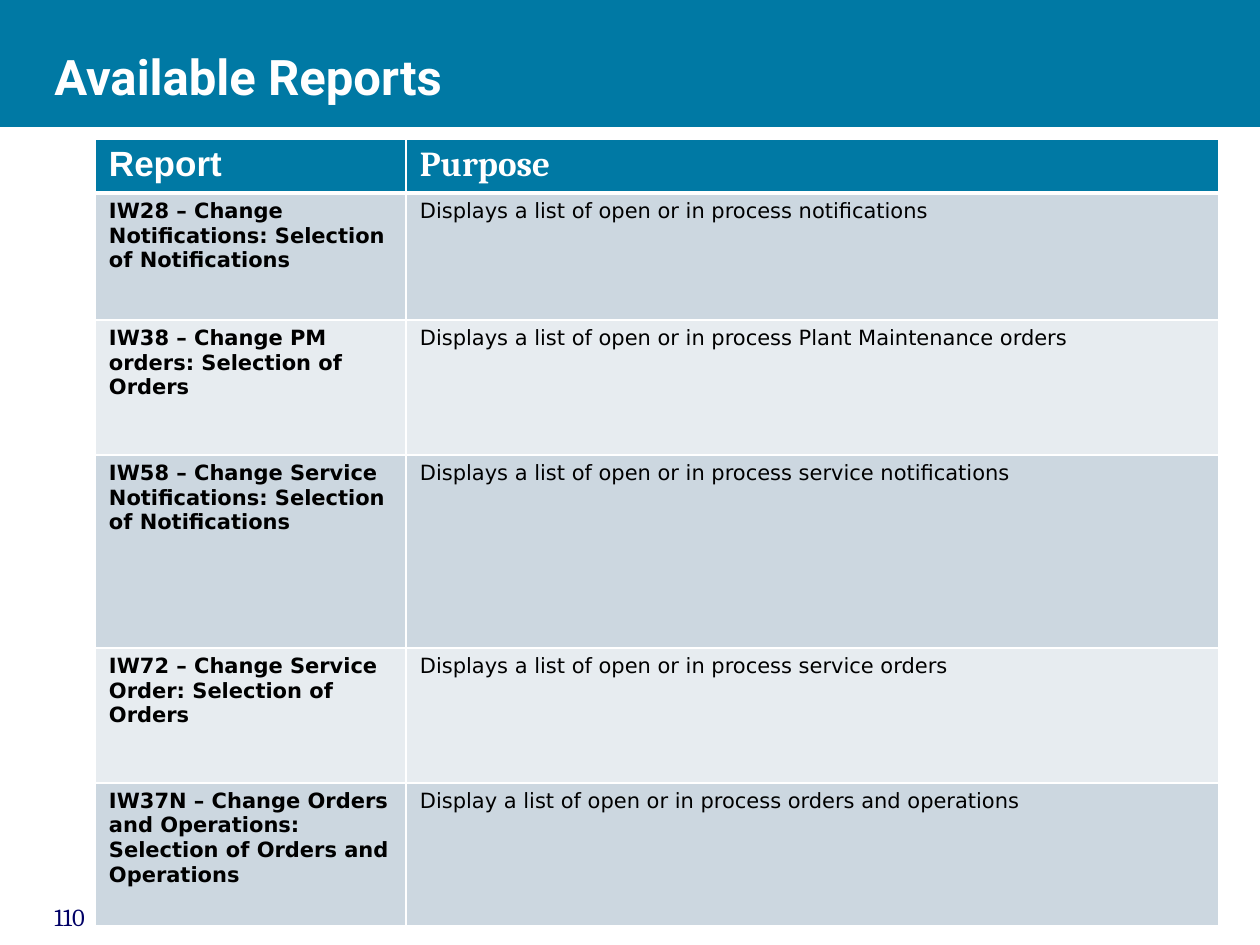
from dataclasses import dataclass

from lxml import etree
from pptx import Presentation
from pptx.dml.color import RGBColor
from pptx.enum.shapes import MSO_SHAPE
from pptx.enum.text import MSO_ANCHOR
from pptx.oxml.ns import qn
from pptx.util import Emu, Pt

RECTANGLE = MSO_SHAPE.RECTANGLE
TOP = MSO_ANCHOR.TOP
MIDDLE = MSO_ANCHOR.MIDDLE

PIXELS_PER_INCH = 126
EMU_PER_INCH = 914400


@dataclass(frozen=True)
class Theme:
    white: str = "FFFFFF"
    black: str = "000000"
    blue: str = "0079A4"
    navy: str = "000066"
    bands: tuple = ("CCD7E0", "E7ECF0")
    title_font: str = "Roboto"
    report_font: str = "Arial"
    serif_font: str = "Cambria"
    body_font: str = "DejaVu Sans"
    title_size: int = 28
    header_size: int = 20
    body_size: int = 12
    number_size: int = 14
    border: int = 1
    header_border: int = 3


THEME = Theme()

HEADERS = [("Report", THEME.report_font), ("Purpose", THEME.serif_font)]
REPORTS = [
    ("IW28 – Change Notifications: Selection of Notifications",
     "Displays a list of open or in process notifications"),
    ("IW38 – Change PM orders: Selection of Orders",
     "Displays a list of open or in process Plant Maintenance orders"),
    ("IW58 – Change Service Notifications: Selection of Notifications",
     "Displays a list of open or in process service notifications"),
    ("IW72 – Change Service Order: Selection of Orders",
     "Displays a list of open or in process service orders"),
    ("IW37N – Change Orders and Operations: Selection of Orders and Operations",
     "Display a list of open or in process orders and operations"),
]
COLUMN_WIDTHS = [311, 813]
ROW_HEIGHTS = [53, 127, 135, 193, 135, 143]


def px(length):
    return Emu(round(length * EMU_PER_INCH / PIXELS_PER_INCH))


def color(value):
    return RGBColor.from_string(value)


def write(frame, text, font, size, ink, bold=False):
    frame.word_wrap = True
    para = frame.paragraphs[0]
    para.text = text
    for span in para.runs:
        span.font.name = font
        span.font.size = Pt(size)
        span.font.bold = bold
        span.font.color.rgb = color(ink)


def add_band(page, left, top, width, height):
    band = page.shapes.add_shape(RECTANGLE, px(left), px(top), px(width), px(height))
    band.shadow.inherit = False
    band.fill.solid()
    band.fill.fore_color.rgb = color(THEME.blue)
    band.line.color.rgb = color(THEME.blue)
    band.line.width = Pt(0.75)


def add_text(page, bounds, text, font, size, ink, bold=False, anchor=TOP, inset_top=6):
    box = page.shapes.add_textbox(*map(px, bounds))
    frame = box.text_frame
    frame.vertical_anchor = anchor
    frame.margin_top = px(inset_top)
    write(frame, text, font, size, ink, bold)


def set_borders(cell, bottom):
    properties = cell._tc.get_or_add_tcPr()
    widths = {"lnL": THEME.border, "lnR": THEME.border, "lnT": THEME.border, "lnB": bottom}
    for position, (side, width) in enumerate(widths.items()):
        line = etree.Element(qn(f"a:{side}"), w=str(Pt(width)))
        fill = etree.SubElement(line, qn("a:solidFill"))
        etree.SubElement(fill, qn("a:srgbClr"), val=THEME.white)
        properties.insert(position, line)


def fill_cell(cell, text, font, size, ink, fill, bold, bottom=THEME.border):
    cell.margin_left = cell.margin_right = px(14)
    cell.margin_top = cell.margin_bottom = px(6)
    cell.fill.solid()
    cell.fill.fore_color.rgb = color(fill)
    write(cell.text_frame, text, font, size, ink, bold)
    set_borders(cell, bottom)


def add_report_table(page, left, top):
    frame = page.shapes.add_table(
        len(ROW_HEIGHTS), len(COLUMN_WIDTHS), px(left), px(top),
        px(sum(COLUMN_WIDTHS)), px(sum(ROW_HEIGHTS)))
    table = frame.table
    for column, width in zip(table.columns, COLUMN_WIDTHS):
        column.width = px(width)
    for row, height in zip(table.rows, ROW_HEIGHTS):
        row.height = px(height)
    for column, (text, font) in enumerate(HEADERS):
        fill_cell(table.cell(0, column), text, font, THEME.header_size, THEME.white,
                  THEME.blue, True, THEME.header_border)
    for row, report in enumerate(REPORTS, start=1):
        fill = THEME.bands[(row - 1) % len(THEME.bands)]
        for column, text in enumerate(report):
            fill_cell(table.cell(row, column), text, THEME.body_font, THEME.body_size,
                      THEME.black, fill, column == 0)


def main():
    deck = Presentation()
    deck.slide_width = px(1260)
    deck.slide_height = px(945)
    page = deck.slides.add_slide(deck.slide_layouts[6])
    page.background.fill.solid()
    page.background.fill.fore_color.rgb = color(THEME.white)
    add_band(page, 0, 0, 1260, 126)
    add_text(page, (42, 32, 1173, 88), "Available Reports", THEME.title_font,
             THEME.title_size, THEME.white, bold=True, anchor=MIDDLE)
    add_report_table(page, 95, 139)
    add_text(page, (42, 858, 315, 65), "110", THEME.serif_font,
             THEME.number_size, THEME.navy, inset_top=44)
    deck.save("out.pptx")


if __name__ == "__main__":
    main()
